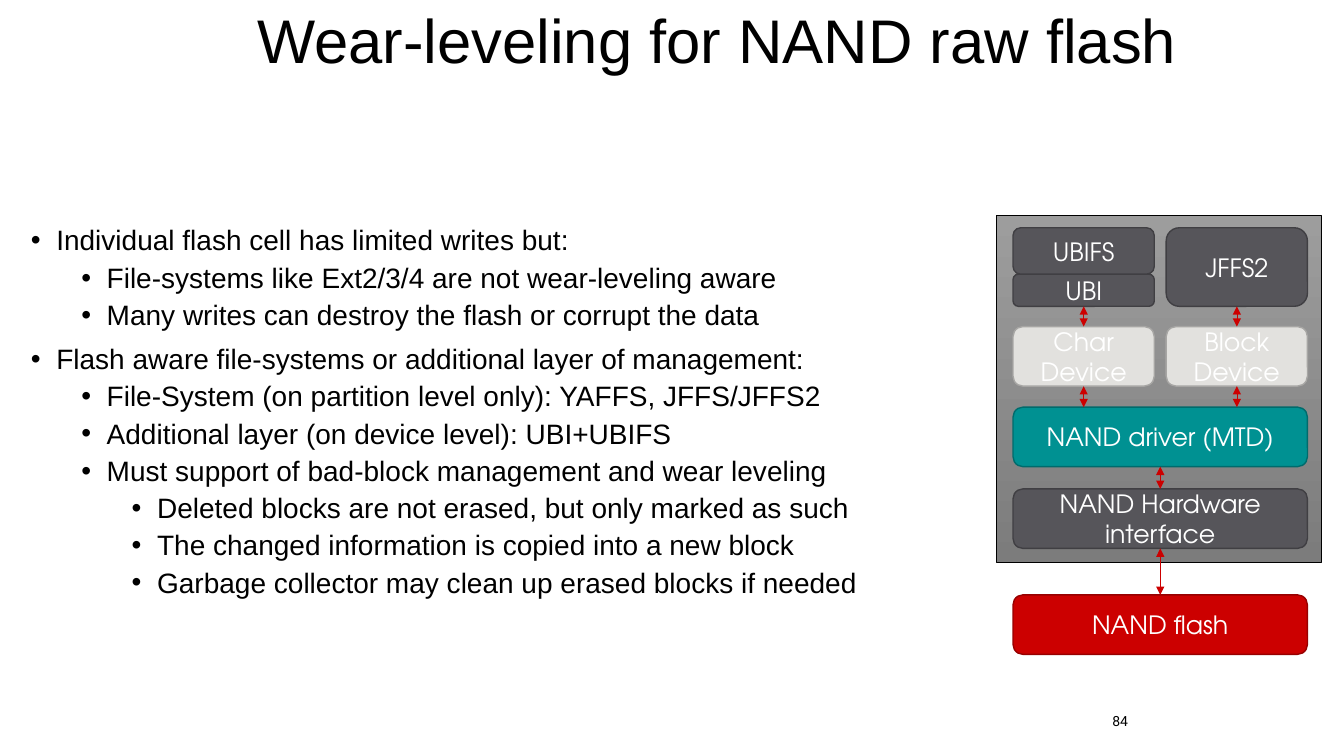
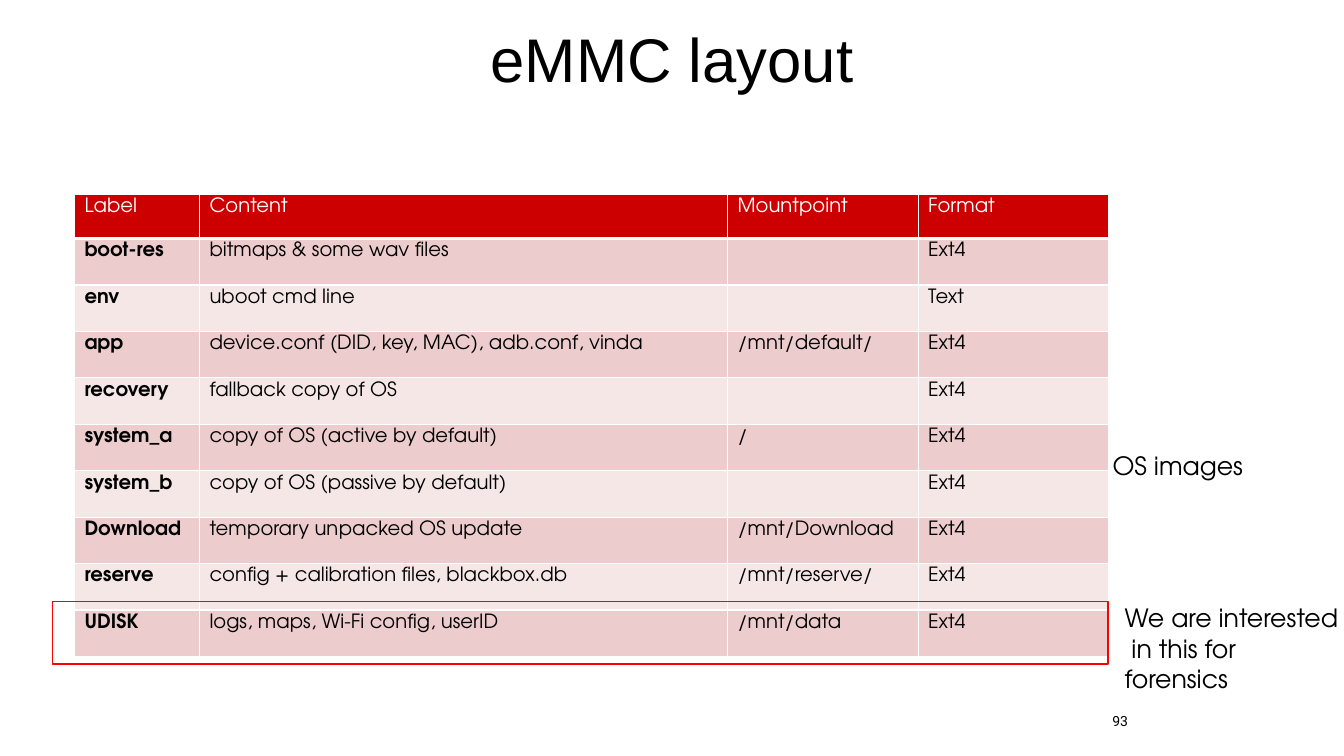
"""Builds two slides on flash storage: wear-leveling and the eMMC layout."""
from lxml import etree
from pptx import Presentation
from pptx.dml.color import RGBColor
from pptx.enum.shapes import MSO_CONNECTOR, MSO_SHAPE
from pptx.enum.text import MSO_ANCHOR, PP_ALIGN
from pptx.oxml.ns import qn
from pptx.util import Cm, Pt

CENTER, LEFT = PP_ALIGN.CENTER, PP_ALIGN.LEFT
TOP, MIDDLE = MSO_ANCHOR.TOP, MSO_ANCHOR.MIDDLE
RECTANGLE, ROUNDED = MSO_SHAPE.RECTANGLE, MSO_SHAPE.ROUNDED_RECTANGLE
STRAIGHT = MSO_CONNECTOR.STRAIGHT
SIDE_TOP, SIDE_BOTTOM = 0, 2

BLACK = RGBColor(0x00, 0x00, 0x00)
WHITE = RGBColor(0xFF, 0xFF, 0xFF)
RED = RGBColor(0xCC, 0x00, 0x00)
DARK_RED = RGBColor(0x97, 0x00, 0x00)
BRIGHT_RED = RGBColor(0xFF, 0x00, 0x00)
GRAY = RGBColor(0x56, 0x55, 0x5A)
DARK_GRAY = RGBColor(0x40, 0x3F, 0x43)
TEAL = RGBColor(0x00, 0x91, 0x92)
DARK_TEAL = RGBColor(0x00, 0x6B, 0x6C)
PALE = RGBColor(0xE2, 0xE1, 0xDE)
DARK_PALE = RGBColor(0xA7, 0xA6, 0xA4)
PANEL_LIGHT = RGBColor(0x9D, 0x9D, 0x9D)
PANEL_DARK = RGBColor(0x7C, 0x7C, 0x7C)
BANDS = (RGBColor(0xEC, 0xCC, 0xCC), RGBColor(0xF6, 0xE7, 0xE7))

TITLE_FONT, LABEL_FONT, NUMBER_FONT = "Arial", "TeX Gyre Adventor", "Roboto"

BULLETS = [
    (0, "Individual flash cell has limited writes but:"),
    (1, "File-systems like Ext2/3/4 are not wear-leveling aware"),
    (1, "Many writes can destroy the flash or corrupt the data"),
    (0, "Flash aware file-systems or additional layer of management:"),
    (1, "File-System (on partition level only): YAFFS, JFFS/JFFS2"),
    (1, "Additional layer (on device level): UBI+UBIFS"),
    (1, "Must support of bad-block management and wear leveling"),
    (2, "Deleted blocks are not erased, but only marked as such"),
    (2, "The changed information is copied into a new block"),
    (2, "Garbage collector may clean up erased blocks if needed"),
]

PARTITIONS = [
    ("Label", "Content", "Mountpoint", "Format"),
    ("boot-res", "bitmaps & some wav files", "", "Ext4"),
    ("env", "uboot cmd line", "", "Text"),
    ("app", "device.conf (DID, key, MAC), adb.conf, vinda", "/mnt/default/", "Ext4"),
    ("recovery", "fallback copy of OS", "", "Ext4"),
    ("system_a", "copy of OS (active by default)", "/", "Ext4"),
    ("system_b", "copy of OS (passive by default)", "", "Ext4"),
    ("Download", "temporary unpacked OS update", "/mnt/Download", "Ext4"),
    ("reserve", "config + calibration files, blackbox.db", "/mnt/reserve/", "Ext4"),
    ("UDISK", "logs, maps, Wi-Fi config, userID", "/mnt/data", "Ext4"),
]


def write_span(para, text, size=18, font=LABEL_FONT, color=BLACK, bold=False):
    """Add one formatted run to a paragraph."""
    span = para.add_run()
    span.text = text
    span.font.size = Pt(size)
    span.font.name = font
    span.font.bold = bold
    span.font.color.rgb = color


def write_lines(frame, text, align=LEFT, anchor=TOP, spacing=None, **style):
    """Fill a text frame with one paragraph for each line of text."""
    frame.word_wrap = True
    frame.vertical_anchor = anchor
    for index, line in enumerate(text.split("\n")):
        para = frame.add_paragraph() if index else frame.paragraphs[0]
        para.alignment = align
        para.line_spacing = spacing
        write_span(para, line, **style)


def add_text(page, text, left, top, width, height, **style):
    """Add a text box and return it."""
    box = page.shapes.add_textbox(Cm(left), Cm(top), Cm(width), Cm(height))
    write_lines(box.text_frame, text, **style)
    return box


def add_page(deck, title, left, top, number):
    """Add a blank slide with its title and page number."""
    page = deck.slides.add_slide(deck.slide_layouts[6])
    add_text(page, title, left, top, 30.48, 2.41, align=CENTER, spacing=0.9,
             size=44, font=TITLE_FONT)
    add_text(page, number, 24.28, 17.65, 7.9, 1.02, align=CENTER,
             anchor=MIDDLE, size=10, font=NUMBER_FONT)
    return page


def add_bullets(page, items, left, top, width, height):
    """Add a bulleted list from pairs of level and text."""
    box = page.shapes.add_textbox(Cm(left), Cm(top), Cm(width), Cm(height))
    frame = box.text_frame
    frame.word_wrap = True
    for index, (level, text) in enumerate(items):
        para = frame.add_paragraph() if index else frame.paragraphs[0]
        para.level = level
        para.line_spacing = 0.9
        if index:
            para.space_before = Pt(5 if level else 10)
        properties = para._p.get_or_add_pPr()
        properties.set("marL", str(Cm(0.64 + 1.27 * level)))
        properties.set("indent", str(-Cm(0.64)))
        etree.SubElement(properties, qn("a:buFont")).set("typeface", "Arial")
        etree.SubElement(properties, qn("a:buChar")).set("char", "•")
        write_span(para, text, size=20, font=TITLE_FONT)


def add_box(page, kind, left, top, width, height, line, weight=1, fill=None):
    """Add an outlined shape, unfilled when no fill is given."""
    box = page.shapes.add_shape(kind, Cm(left), Cm(top), Cm(width), Cm(height))
    box.shadow.inherit = False
    box.line.color.rgb = line
    box.line.width = Pt(weight)
    if fill is None:
        box.fill.background()
    else:
        box.fill.solid()
        box.fill.fore_color.rgb = fill
    return box


def add_layer(page, text, left, top, width, height, fill=GRAY, line=DARK_GRAY):
    """Add a rounded, labelled layer of the storage stack."""
    box = add_box(page, ROUNDED, left, top, width, height, line, fill=fill)
    write_lines(box.text_frame, text, align=CENTER, anchor=MIDDLE, color=WHITE)
    return box


def link_layers(page, upper, lower):
    """Draw a double arrow straight down from one layer to the next."""
    middle = upper.left + upper.width // 2
    arrow = page.shapes.add_connector(
        STRAIGHT, middle, upper.top + upper.height, middle, lower.top)
    arrow.begin_connect(upper, SIDE_BOTTOM)
    if abs(lower.left + lower.width // 2 - middle) < Cm(0.05):
        arrow.end_connect(lower, SIDE_TOP)
    arrow.line.color.rgb = RED
    arrow.line.width = Pt(0.5)
    outline = arrow.line._get_or_add_ln()
    for end in ("a:headEnd", "a:tailEnd"):
        etree.SubElement(outline, qn(end)).set("type", "triangle")
    etree.SubElement(arrow._element.spPr, qn("a:effectLst"))


def add_border(cell, side, points):
    """Give one side of a table cell a white line."""
    line = etree.SubElement(cell._tc.get_or_add_tcPr(), qn("a:" + side))
    line.set("w", str(Pt(points)))
    fill = etree.SubElement(line, qn("a:solidFill"))
    etree.SubElement(fill, qn("a:srgbClr")).set("val", str(WHITE))


def add_partition_table(page, rows, left, top, widths, header_height, row_height):
    """Add the banded table with a red header row."""
    height = header_height + row_height * (len(rows) - 1)
    table = page.shapes.add_table(len(rows), len(widths), Cm(left), Cm(top),
                                  Cm(sum(widths)), Cm(height)).table
    for column, width in zip(table.columns, widths):
        column.width = Cm(width)
    for row_index, texts in enumerate(rows):
        header = row_index == 0
        table.rows[row_index].height = Cm(header_height if header else row_height)
        for column_index, text in enumerate(texts):
            cell = table.cell(row_index, column_index)
            cell.margin_left = cell.margin_right = Cm(0.25)
            cell.margin_top = cell.margin_bottom = Cm(0.1)
            for side in ("lnL", "lnR", "lnT", "lnB"):
                thick = (header and side == "lnB") or (row_index == 1 and side == "lnT")
                add_border(cell, side, 3 if thick else 1)
            cell.fill.solid()
            cell.fill.fore_color.rgb = RED if header else BANDS[(row_index - 1) % 2]
            if text:
                write_span(cell.text_frame.paragraphs[0], text, size=14,
                           color=WHITE if header else BLACK,
                           bold=not header and column_index == 0)


def add_storage_stack(page):
    """Draw the layers from file systems down to the flash."""
    panel = add_box(page, RECTANGLE, 25.12, 5.44, 8.18, 8.74, BLACK, 0.5)
    panel.fill.gradient()
    panel.fill.gradient_angle = 270
    for stop, color in zip(panel.fill.gradient_stops, (PANEL_LIGHT, PANEL_DARK)):
        stop.color.rgb = color

    left, right, half, full, height = 25.53, 29.39, 3.56, 7.42, 1.5
    flash = add_layer(page, "NAND flash", left, 14.99, full, height, RED, DARK_RED)
    hardware = add_layer(page, "NAND Hardware interface", left, 12.32, full, height)
    driver = add_layer(page, "NAND driver (MTD)", left, 10.26, full, height,
                       TEAL, DARK_TEAL)
    char, block = (
        add_layer(page, text, side, 8.23, half, height, PALE, DARK_PALE)
        for text, side in (("Char Device", left), ("Block Device", right)))
    ubi = add_layer(page, "UBI", left, 6.91, half, 0.81)
    jffs2 = add_layer(page, "JFFS2", right, 5.74, half, 1.98)
    add_layer(page, "UBIFS", left, 5.74, half, 1.17)

    for upper, lower in ((hardware, flash), (driver, hardware), (char, driver),
                         (block, driver), (ubi, char), (jffs2, block)):
        link_layers(page, upper, lower)


def add_wear_leveling(deck):
    """Build the slide on wear-leveling."""
    page = add_page(deck, "Wear-leveling for NAND raw flash", 2.84, 0.13, "84")
    add_bullets(page, BULLETS, 0.53, 5.59, 24.03, 12.57)
    add_storage_stack(page)


def add_emmc_layout(deck):
    """Build the slide on the partitions of the eMMC."""
    page = add_page(deck, "eMMC layout", 1.7, 0.61, "93")
    add_partition_table(page, PARTITIONS, 1.88, 4.9, (3.15, 13.31, 4.8, 4.8),
                        1.11, 1.17)
    add_box(page, RECTANGLE, 1.32, 15.16, 26.6, 1.57, BRIGHT_RED)
    note = add_text(page, "We are interested\n in this for forensics",
                    28.09, 15.06, 5.77, 2.57)
    note.text_frame.margin_right = 0
    add_text(page, "OS images", 27.79, 11.23, 6.07, 1.02)


def main():
    """Build and save the deck."""
    deck = Presentation()
    deck.slide_width, deck.slide_height = Cm(33.87), Cm(19.05)
    add_wear_leveling(deck)
    add_emmc_layout(deck)
    deck.save("out.pptx")


if __name__ == "__main__":
    main()
